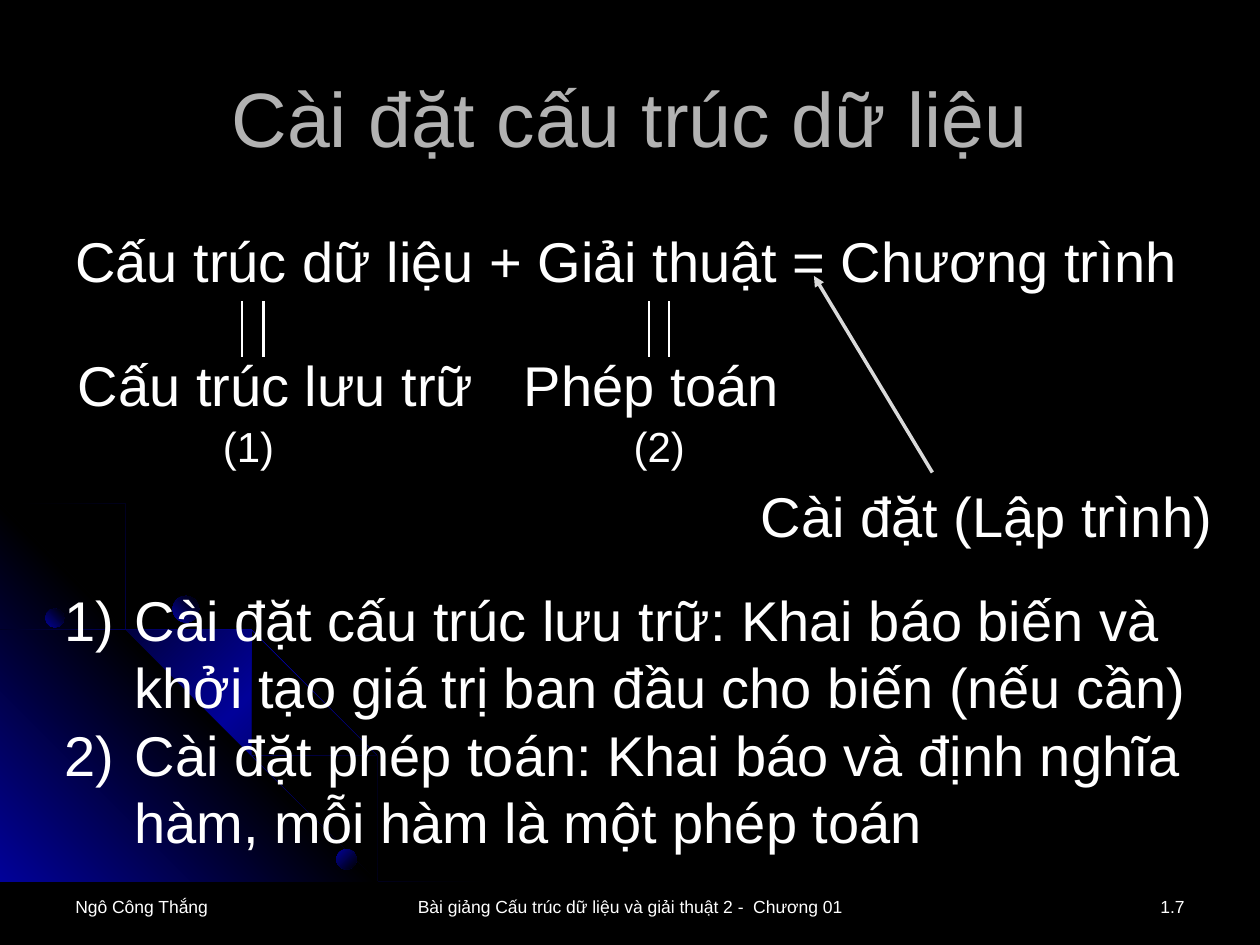
import dataclasses

import pptx
import pptx.dml.color
import pptx.enum.shapes
import pptx.enum.text
import pptx.oxml.ns
import pptx.oxml.xmlchemy
import pptx.util
from lxml import etree

Inches = pptx.util.Inches
Pt = pptx.util.Pt
RGB = pptx.dml.color.RGBColor.from_string
qn = pptx.oxml.ns.qn
Align = pptx.enum.text.PP_ALIGN
Anchor = pptx.enum.text.MSO_ANCHOR
Fit = pptx.enum.text.MSO_AUTO_SIZE


@dataclasses.dataclass(frozen=True)
class Theme:
    font: str = "Arial"
    black: str = "000000"
    blue: str = "010199"
    white: str = "FFFFFF"
    title_gray: str = "B2B2B2"
    arrow_gray: str = "DADADA"
    title: int = 44
    body: int = 32
    label: int = 24
    footer: int = 10


theme = Theme()


def paint_gradient(shape, colors, angle):
    shape.shadow.inherit = False
    shape.line.fill.background()
    shape.fill.gradient()
    shape.fill.gradient_angle = angle
    stops = shape._element.spPr.find(".//" + qn("a:gsLst"))
    for stop in list(stops):
        stops.remove(stop)
    for index, color in enumerate(colors):
        position = 100000 * index // (len(colors) - 1)
        stop = etree.SubElement(stops, qn("a:gs"), pos=str(position))
        etree.SubElement(stop, qn("a:srgbClr"), val=color)


def add_text(place, lines, size, color=theme.white, align=Align.LEFT, numbered=False, **frame_format):
    box = page.shapes.add_textbox(*map(Inches, place))
    frame = box.text_frame
    for name, value in ({"word_wrap": True} | frame_format).items():
        setattr(frame, name, value)
    for index, line in enumerate(lines):
        para = frame.paragraphs[0] if index == 0 else frame.add_paragraph()
        para.alignment = align
        if numbered:
            properties = para._p.get_or_add_pPr()
            properties.set("marL", str(Inches(0.56)))
            properties.set("indent", str(Inches(-0.56)))
            etree.SubElement(properties, qn("a:buFont"), typeface=theme.font)
            etree.SubElement(properties, qn("a:buAutoNum"), type="arabicParenR")
        span = para.add_run()
        span.text = line
        for name, value in {"name": theme.font, "size": Pt(size)}.items():
            setattr(span.font, name, value)
        span.font.color.rgb = RGB(color)


deck = pptx.Presentation()
deck.slide_width, deck.slide_height = Inches(10), Inches(7.5)
page = deck.slides.add_slide(deck.slide_layouts[6])
page.background.fill.solid()
page.background.fill.fore_color.rgb = RGB(theme.black)

streak_colors = [theme.black, theme.blue, theme.black]
glow_colors = [theme.blue, theme.black, theme.blue]
outer_streak = [
    (0.57, 4.47), (0.28, 4.41), (0, 4.35), (0, 4.38), (0.28, 4.43), (0.56, 4.49), (0.97, 4.61),
    (1.35, 4.78), (1.73, 4.99), (2.08, 5.23), (2.41, 5.49), (2.71, 5.79), (2.98, 6.12),
    (3.23, 6.49), (3.37, 6.73), (3.5, 6.98), (3.6, 7.23), (3.7, 7.49), (3.72, 7.49),
    (3.62, 7.23), (3.52, 6.98), (3.39, 6.73), (3.25, 6.48), (3, 6.11), (2.72, 5.78),
    (2.42, 5.48), (2.09, 5.21), (1.74, 4.97), (1.36, 4.77), (0.98, 4.59),
]
corner_glow = [(3.22, 7.49), (0, 7.49), (0, 4.27)]
inner_streak = [
    (2.85, 7.14), (2.94, 7.32), (3.01, 7.49), (3.03, 7.49), (2.96, 7.3), (2.86, 7.12),
    (2.66, 6.76), (2.42, 6.4), (2.15, 6.06), (1.84, 5.76), (1.52, 5.49), (1.17, 5.26),
    (0.79, 5.05), (0.41, 4.88), (0, 4.75), (0, 4.77), (0.39, 4.9), (0.77, 5.07), (1.15, 5.28),
    (1.5, 5.51), (1.83, 5.78), (2.13, 6.08), (2.4, 6.41), (2.65, 6.77),
]
middle_streak = [
    (0, 4.42), (0, 4.44), (0.36, 4.57), (0.74, 4.75), (1.09, 4.94), (1.42, 5.18), (1.73, 5.44),
    (2.02, 5.75), (2.27, 6.05), (2.52, 6.41), (2.67, 6.67), (2.8, 6.94), (2.92, 7.22),
    (3.01, 7.49), (3.03, 7.49), (2.94, 7.2), (2.82, 6.93), (2.69, 6.65), (2.54, 6.39),
    (2.29, 6.03), (2.04, 5.73), (1.75, 5.43), (1.44, 5.16), (1.11, 4.93), (0.76, 4.73),
    (0.39, 4.55),
]
for points, colors, angle in [
    (outer_streak, streak_colors, 315),
    (corner_glow, glow_colors, 45),
    (inner_streak, streak_colors, 315),
    (middle_streak, streak_colors, 315),
]:
    builder = page.shapes.build_freeform(*points[0], scale=Inches(1))
    builder.add_line_segments(points[1:], close=True)
    paint_gradient(builder.convert_to_shape(), colors, angle)

for left, top, size, angle in [(0.36, 4.83, 0.15, 45), (2.67, 6.74, 0.16, 315), (1.37, 4.73, 0.21, 45)]:
    planet = page.shapes.add_shape(
        pptx.enum.shapes.MSO_SHAPE.OVAL, Inches(left), Inches(top), Inches(size), Inches(size)
    )
    paint_gradient(planet, [theme.blue, theme.black], angle)

add_text((0.5, 0.3, 9, 1.25), ["Cài đặt cấu trúc dữ liệu"], theme.title, theme.title_gray,
         Align.CENTER, vertical_anchor=Anchor.MIDDLE)

for left, width, line, align in [
    (0.5, 2.33, "Ngô Công Thắng", Align.LEFT),
    (2.96, 4.08, "Bài giảng Cấu trúc dữ liệu và giải thuật 2 -  Chương 01", Align.CENTER),
    (7.17, 2.33, "1.7", Align.RIGHT),
]:
    add_text((left, 7.06, width, 0.3), [line], theme.footer, align=align)

for left, top, width, line in [
    (0.5, 1.75, 9.02, "Cấu trúc dữ liệu + Giải thuật = Chương trình"),
    (0.52, 2.73, 3.37, "Cấu trúc lưu trữ"),
    (4.06, 2.73, 2.24, "Phép toán"),
    (5.94, 3.77, 3.81, "Cài đặt (Lập trình)"),
]:
    add_text((left, top, width, 0.64), [line], theme.body, word_wrap=False, auto_size=Fit.SHAPE_TO_FIT_TEXT)

add_text(
    (0.41, 4.6, 9.25, 2.26),
    [
        "Cài đặt cấu trúc lưu trữ: Khai báo biến và khởi tạo giá trị ban đầu cho biến (nếu cần)",
        "Cài đặt phép toán: Khai báo và định nghĩa hàm, mỗi hàm là một phép toán",
    ],
    theme.body, numbered=True, auto_size=Fit.SHAPE_TO_FIT_TEXT,
)

for left, line in [(1.67, "(1)"), (4.93, "(2)")]:
    add_text((left, 3.29, 0.71, 0.51), [line], theme.label, auto_size=Fit.SHAPE_TO_FIT_TEXT)

equal_bars = [((x, 2.39, x, 2.83), theme.white, 1.5, False) for x in (1.92, 2.09, 5.15, 5.31)]
for ends, color, width, has_arrow in equal_bars + [((7.4, 3.75, 6.46, 2.19), theme.arrow_gray, 2, True)]:
    connector = page.shapes.add_connector(
        pptx.enum.shapes.MSO_CONNECTOR.STRAIGHT, *map(Inches, ends)
    )
    connector.line.color.rgb = RGB(color)
    connector.line.width = Pt(width)
    if has_arrow:
        etree.SubElement(connector.line._get_or_add_ln(), qn("a:tailEnd"), type="triangle")
    etree.SubElement(connector._element.spPr, qn("a:effectLst"))

deck.save("out.pptx")
